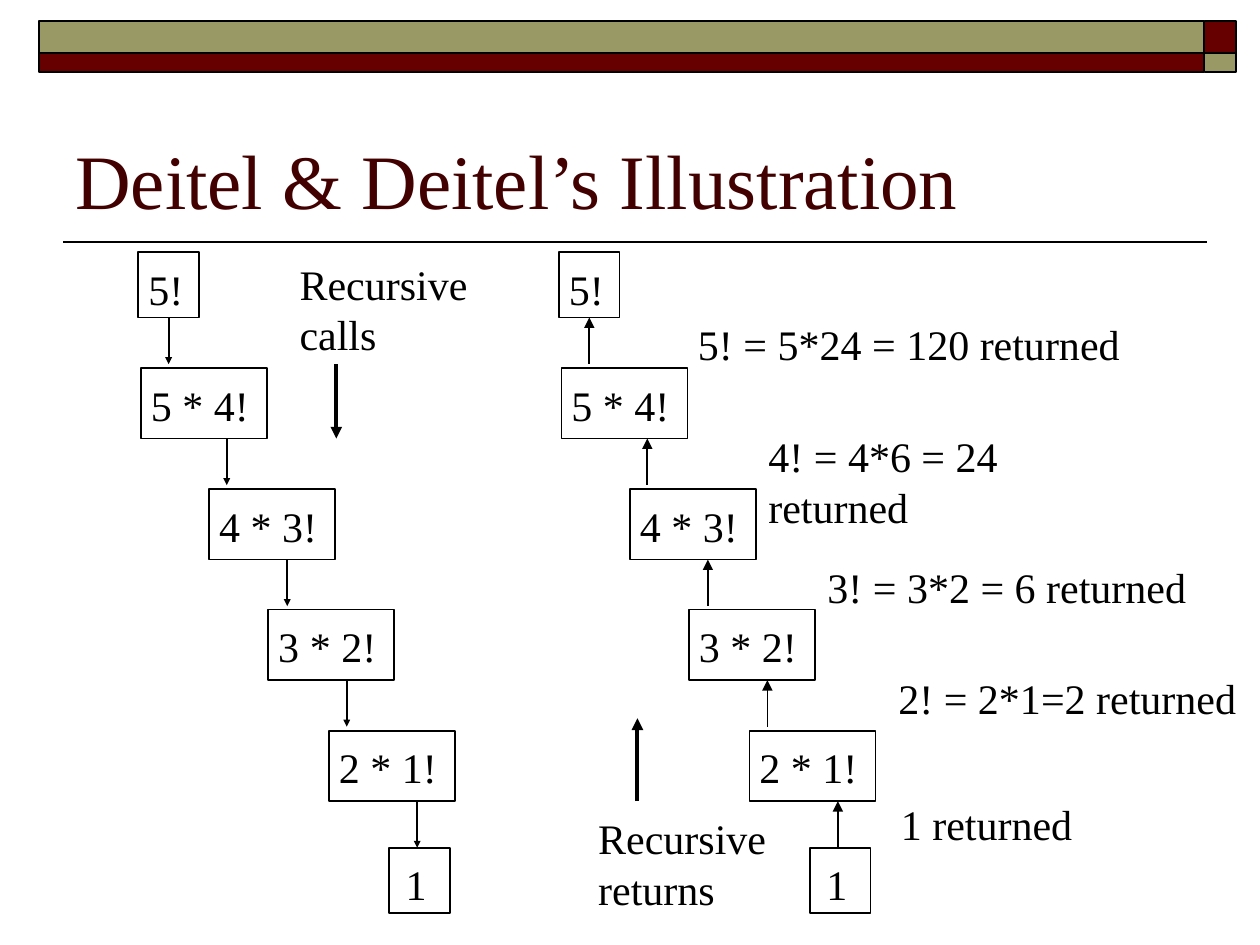
"""Build the slide that traces the recursive calls and returns of 5!."""
from lxml.etree import SubElement
from pptx import Presentation
from pptx.dml.color import RGBColor
from pptx.enum.shapes import MSO_CONNECTOR, MSO_SHAPE
from pptx.enum.text import MSO_ANCHOR, MSO_AUTO_SIZE
from pptx.oxml.ns import qn
from pptx.util import Cm, Pt

BLACK = RGBColor(0x00, 0x00, 0x00)
MAROON = RGBColor(0x66, 0x00, 0x00)
OLIVE = RGBColor(0x99, 0x99, 0x66)
TITLE_COLOR = RGBColor(0x42, 0x00, 0x00)

BODY_FONT = {"name": "Times New Roman", "size": Pt(24)}
TITLE_FONT = {"name": "Times New Roman", "size": Pt(44)}
GROW = {"word_wrap": False, "auto_size": MSO_AUTO_SIZE.SHAPE_TO_FIT_TEXT}
WRAP_GROW = {**GROW, "word_wrap": True}
TITLE_FRAME = {"word_wrap": True, "vertical_anchor": MSO_ANCHOR.BOTTOM}

BANDS = [
    (24.28, 0.43, 0.64, 0.64, MAROON),
    (0.79, 0.43, 23.49, 0.64, OLIVE),
    (0.79, 1.07, 23.49, 0.38, MAROON),
    (24.28, 1.07, 0.64, 0.38, OLIVE),
]
SMALL, WIDE = (1.22, 1.32), (2.54, 1.42)
STEPS = [
    ("5!", 2.79, 5.08, SMALL, -0.05, 1.22, GROW),
    ("5 * 4!", 2.84, 7.42, WIDE, -0.05, 2.62, WRAP_GROW),
    ("4 * 3!", 4.22, 9.86, WIDE, -0.05, 2.82, WRAP_GROW),
    ("3 * 2!", 5.41, 12.29, WIDE, -0.05, 2.82, WRAP_GROW),
    ("2 * 1!", 6.63, 14.73, WIDE, -0.05, 2.82, WRAP_GROW),
    ("1", 7.85, 17.09, SMALL, 0.08, 0.94, GROW),
]
ARROW_X = [3.4, 4.57, 5.79, 6.99, 8.41]
ARROW_LENGTH = 0.94
RETURNS_SHIFT = 8.48
LABELS = [
    ("1 returned", 17.91, 15.98, 3.96, 1.27),
    ("2! = 2*1=2 returned", 17.86, 13.44, 7.32, 1.27),
    ("3! = 3*2 = 6 returned", 16.43, 11.2, 7.75, 1.27),
    ("4! = 4*6 = 24 returned", 15.24, 8.56, 8.15, 1.27),
    ("5! = 5*24 = 120 returned", 13.82, 6.3, 9.02, 1.27),
    ("Recursive\ncalls", 5.79, 5.08, 3.89, 2.29),
    ("Recursive\nreturns", 11.81, 16.26, 3.89, 2.29),
]


def set_all(obj, values):
    """Set every attribute named in values on obj."""
    for name, value in values.items():
        setattr(obj, name, value)


def add_box(s, x, y, w, h, fill=None):
    """Add a black-edged rectangle, unfilled unless a colour is given."""
    sp = s.shapes.add_shape(MSO_SHAPE.RECTANGLE, Cm(x), Cm(y), Cm(w), Cm(h))
    sp.shadow.inherit = False
    if fill is None:
        sp.fill.background()
    else:
        sp.fill.solid()
        sp.fill.fore_color.rgb = fill
    sp.line.color.rgb = BLACK
    sp.line.width = Pt(1)
    return sp


def add_text(s, text, x, y, w, h, frame=GROW, font=BODY_FONT, color=BLACK):
    """Add a text box with one paragraph per line of text."""
    tf = s.shapes.add_textbox(Cm(x), Cm(y), Cm(w), Cm(h)).text_frame
    set_all(tf, frame)
    tf.text = text
    for p in tf.paragraphs:
        for r in p.runs:
            set_all(r.font, font)
            r.font.color.rgb = color


def add_line(s, x1, y1, x2, y2, width=1, end=None, size="med"):
    """Add a straight line, with an arrowhead at headEnd or tailEnd if named."""
    line = s.shapes.add_connector(
        MSO_CONNECTOR.STRAIGHT, Cm(x1), Cm(y1), Cm(x2), Cm(y2))
    line.line.color.rgb = BLACK
    line.line.width = Pt(width)
    sp_pr = line._element.spPr
    SubElement(sp_pr, qn("a:effectLst"))
    if end:
        SubElement(sp_pr.find(qn("a:ln")), qn("a:" + end),
                   type="triangle", w=size, len=size)
    return line


def add_staircase(s, shift, end, size):
    """Add the chain of step boxes and the arrows between them."""
    boxes = []
    for text, x, y, (w, h), dx, text_w, frame in STEPS:
        boxes.append(add_box(s, x + shift, y, w, h))
        add_text(s, text, x + shift + dx, y + 0.1, text_w, 1.27, frame)
    arrows = []
    for x, (_, _, y, (_, h), *_) in zip(ARROW_X, STEPS):
        arrows.append(add_line(s, x + shift, y + h, x + shift,
                               y + h + ARROW_LENGTH, end=end, size=size))
    arrows[0].begin_connect(boxes[0], 2)


def main():
    """Build and save the presentation."""
    prs = Presentation()
    set_all(prs, {"slide_width": Cm(25.4), "slide_height": Cm(19.05)})
    s = prs.slides.add_slide(prs.slide_layouts[6])
    add_line(s, 24.33, 4.88, 1.27, 4.88)
    for band in BANDS:
        add_box(s, *band)
    add_text(s, "Deitel & Deitel’s Illustration", 1.27, 1.47, 22.86, 3.18,
             TITLE_FRAME, TITLE_FONT, TITLE_COLOR)
    add_staircase(s, 0, "tailEnd", "sm")
    add_staircase(s, RETURNS_SHIFT, "headEnd", "med")
    for label in LABELS:
        add_text(s, *label)
    add_line(s, 6.78, 7.34, 6.78, 8.84, 2.25, "tailEnd")
    add_line(s, 12.85, 16.15, 12.85, 14.48, 2.25, "tailEnd")
    prs.save("out.pptx")


if __name__ == "__main__":
    main()
